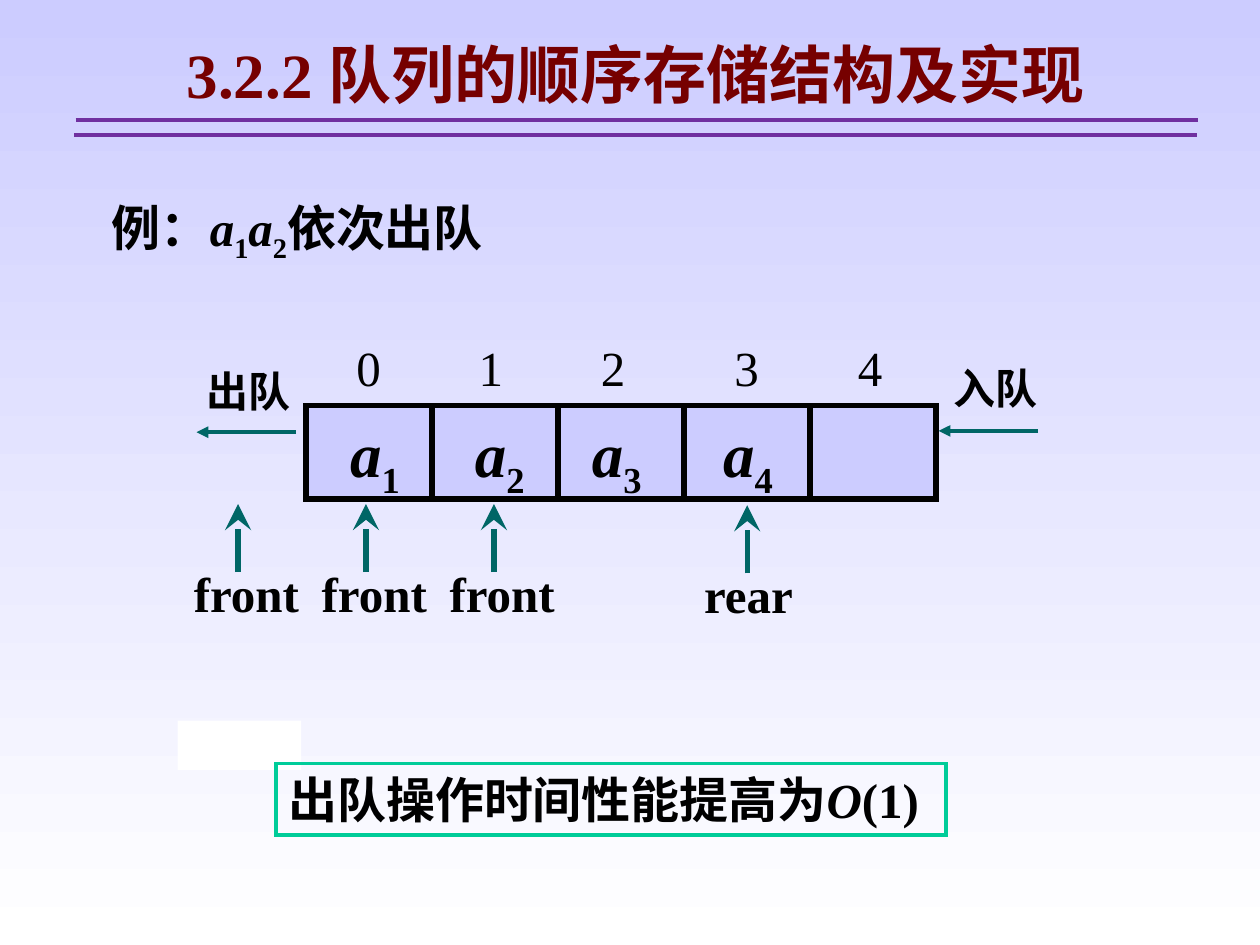
from lxml.etree import SubElement
from pptx import Presentation
from pptx.dml.color import RGBColor as Color
from pptx.enum.shapes import MSO_CONNECTOR as Connector, MSO_SHAPE as Shape
from pptx.enum.text import MSO_ANCHOR as Anchor, PP_ALIGN as Align
from pptx.oxml.ns import qn
from pptx.util import Inches, Pt

COLORS = {
    "sky": "CCCCFF", "white": "FFFFFF", "ink": "000000", "title": "760000",
    "rule": "7030A0", "arrow": "006666", "frame": "00CC99",
}
FONT = "Times New Roman"
# Queue grid: five one-inch cells
CELLS, CELL_WIDTH, CELL_HEIGHT = 5, 1, 0.74
QUEUE_LEFT, QUEUE_TOP = 2.43, 3.22
POINTER_STEP = 1.015


def color(name):
    return Color.from_string(COLORS[name])


def paint_background(page):
    fill = page.background.fill
    fill.gradient()
    fill.gradient_angle = 270
    for stop, name in zip(fill.gradient_stops, ("sky", "white")):
        stop.color.rgb = color(name)


def write(box, spans, size, ink="ink", bold=True, align=Align.LEFT):
    """Fill a shape with (text, style) spans; style is '', 'italic' or 'sub'."""
    frame = box.text_frame
    frame.word_wrap = True
    frame.vertical_anchor = Anchor.TOP
    para = frame.paragraphs[0]
    para.alignment = align
    for text, style in spans:
        span = para.add_run()
        span.text = text
        font = span.font
        font.name, font.size, font.bold = FONT, Pt(size), bold
        font.italic = style == "italic"
        font.color.rgb = color(ink)
        if style == "sub":
            font._element.set("baseline", "-25000")
    return para


def add_text(page, area, spans, size, **style):
    box = page.shapes.add_textbox(*map(Inches, area))
    return write(box, spans, size, **style)


def add_box(page, area, fill=None, line=None, weight=1):
    box = page.shapes.add_shape(Shape.RECTANGLE, *map(Inches, area))
    box.shadow.inherit = False
    if fill:
        box.fill.solid()
        box.fill.fore_color.rgb = color(fill)
    else:
        box.fill.background()
    if line:
        box.line.color.rgb = color(line)
        box.line.width = Pt(weight)
        # Square corners
        SubElement(box.line._get_or_add_ln(), qn("a:miter"), lim="800000")
    else:
        box.line.fill.background()
    return box


def add_line(page, start, end, ink, weight, head=None, head_size="med"):
    line = page.shapes.add_connector(
        Connector.STRAIGHT, *map(Inches, (*start, *end)))
    line.line.color.rgb = color(ink)
    line.line.width = Pt(weight)
    if head:
        SubElement(line.line._get_or_add_ln(), qn("a:tailEnd"),
                   type=head, w=head_size, len=head_size)
    SubElement(line._element.spPr, qn("a:effectLst"))


def add_indices(page):
    """Index row above the cells, spread by tab stops."""
    label = "\t".join(str(index) for index in range(CELLS))
    para = add_text(page, (2.73, 2.63, 4.68, 0.57), [(label, "")], 28,
                    bold=False)
    properties = para._element.get_or_add_pPr()
    tabs = SubElement(properties, qn("a:tabLst"))
    for stop in (0.97, 1.94, 3, 3.98):
        SubElement(tabs, qn("a:tab"), pos=str(Inches(stop)), algn="l")


def add_queue(page):
    for column in range(CELLS):
        left = QUEUE_LEFT + column * CELL_WIDTH
        add_box(page, (left, QUEUE_TOP, CELL_WIDTH, CELL_HEIGHT),
                "sky", "ink", 3)
    add_indices(page)
    for number, left in enumerate((2.68, 3.67, 4.6, 5.64), start=1):
        add_text(page, (left, 3.24, 0.64, 0.79),
                 [("a", "italic"), (str(number), "sub")], 36)


def add_flow(page, label, left, top, arrow_left, arrow_top):
    """Label over an arrow pointing left."""
    add_text(page, (left, top, 1.08, 0.5), [(label, "")], 24)
    add_line(page, (arrow_left + 0.79, arrow_top), (arrow_left, arrow_top),
             "arrow", 2.25, "triangle")


def add_pointer(page, label, middle, tip, indent=0.45):
    """Arrow pointing up at a cell, with its name below."""
    add_line(page, (middle, tip + 0.54), (middle, tip), "arrow", 3,
             "stealth", "lg")
    add_text(page, (middle - indent, tip + 0.42, 1.1, 0.57),
             [(label, "")], 28)


def main():
    deck = Presentation()
    deck.slide_width, deck.slide_height = Inches(10), Inches(7.5)
    page = deck.slides.add_slide(deck.slide_layouts[6])
    paint_background(page)

    # Title with double rule
    add_text(page, (0.66, 0.23, 8.77, 0.7),
             [("3.2.2 队列的顺序存储结构及实现", "")], 36,
             ink="title", align=Align.CENTER)
    for left, top in ((0.6, 0.95), (0.59, 1.07)):
        add_line(page, (left, top), (left + 8.91, top), "rule", 2.25)

    # Example
    add_text(page, (0.79, 1.52, 3.69, 0.63),
             [("例：", ""), ("a", "italic"), ("1", "sub"), ("a", "italic"),
              ("2", "sub"), ("依次出队", "")], 28)

    # Queue, its ends and its pointers
    add_queue(page)
    add_flow(page, "入队", 7.47, 2.83, 7.45, 3.42)
    add_flow(page, "出队", 1.54, 2.85, 1.56, 3.43)
    for step in range(3):
        add_pointer(page, "front", 1.89 + step * POINTER_STEP, 4)
    add_pointer(page, "rear", 5.93, 4.01, indent=0.44)

    # Conclusion
    add_box(page, (1.41, 5.72, 0.98, 0.39), "white")
    result = add_box(page, (2.19, 6.06, 5.32, 0.57), line="frame", weight=2.25)
    write(result, [("出队操作时间性能提高为", ""), ("O", "italic"),
                   ("(1)", "")], 28)
    deck.save("out.pptx")


if __name__ == "__main__":
    main()
